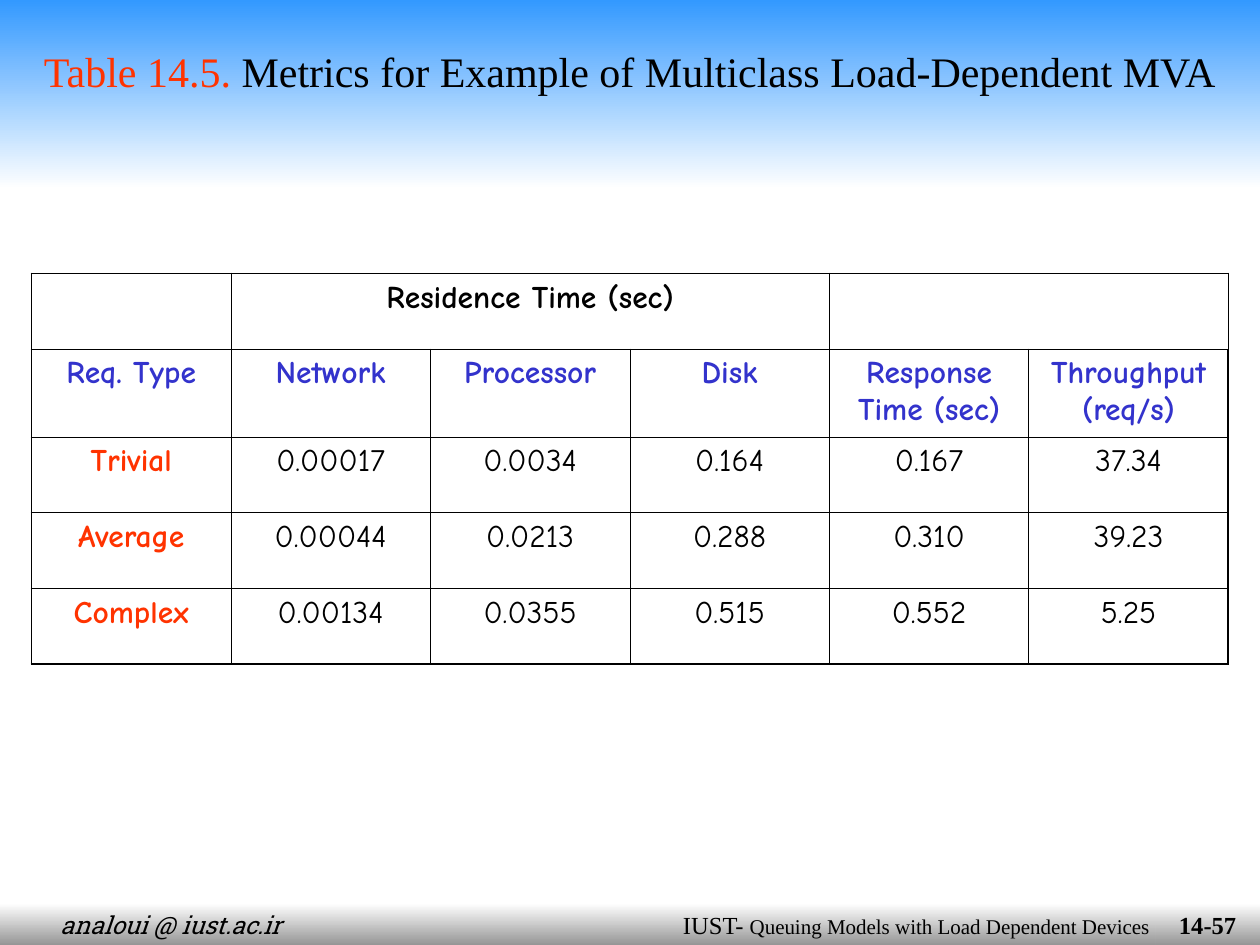
from dataclasses import dataclass

from lxml.etree import SubElement
from pptx import Presentation
from pptx.dml.color import RGBColor
from pptx.enum.shapes import MSO_SHAPE as Shape
from pptx.enum.text import MSO_ANCHOR as Anchor, PP_ALIGN as Align
from pptx.oxml.ns import qn
from pptx.util import Inches, Pt

SERIF, SLAB, COMIC = "Times New Roman", "Roboto Slab", "Comic Neue"
BLACK, RED, BLUE, WHITE = "000000", "FF3300", "3333CC", "FFFFFF"
SKY, GREY = "3399FF", "969696"


@dataclass
class Span:
    text: str
    size: float
    font: str = SERIF
    color: str = BLACK
    bold: bool = False
    italic: bool = False


@dataclass
class Band:
    left: float
    top: float
    width: float
    height: float
    start: str
    end: str
    spans: list[Span]
    align: Align = Align.CENTER
    anchor: Anchor = Anchor.TOP
    left_inset: float = 0.1
    bottom_inset: float = 0.05
    right_tab: float = 0


def rgb(value: str) -> RGBColor:
    return RGBColor.from_string(value)


def add_span(para, span: Span) -> None:
    run = para.add_run()
    run.text = span.text
    font = run.font
    font.name, font.size = span.font, Pt(span.size)
    font.bold, font.italic = span.bold, span.italic
    font.color.rgb = rgb(span.color)


def add_band(page, band: Band) -> None:
    box = page.shapes.add_shape(
        Shape.RECTANGLE, Inches(band.left), Inches(band.top),
        Inches(band.width), Inches(band.height))
    box.shadow.inherit = False
    box.line.fill.background()

    # Vertical gradient, start colour at the top
    box.fill.gradient()
    box.fill.gradient_angle = 270
    for stop, color, position in zip(
            box.fill.gradient_stops, (band.start, band.end), (0, 1)):
        stop.color.rgb = rgb(color)
        stop.position = position

    frame = box.text_frame
    frame.word_wrap = True
    frame.vertical_anchor = band.anchor
    frame.margin_left = Inches(band.left_inset)
    frame.margin_bottom = Inches(band.bottom_inset)
    para = frame.paragraphs[0]
    para.alignment = band.align
    if band.right_tab:
        tabs = SubElement(para._p.get_or_add_pPr(), qn("a:tabLst"))
        SubElement(tabs, qn("a:tab"), pos=str(Inches(band.right_tab)), algn="r")
    for span in band.spans:
        add_span(para, span)


def set_borders(cell, widths: dict[str, float]) -> None:
    properties = cell._tc.get_or_add_tcPr()
    for side, width in widths.items():
        line = SubElement(properties, qn(f"a:ln{side}"), w=str(Pt(width)))
        fill = SubElement(line, qn("a:solidFill"))
        SubElement(fill, qn("a:srgbClr"), val=BLACK)


def cell_style(row: int, column: int) -> tuple[str, bool]:
    """Colour and weight of the text in a cell."""
    if row == 0:
        return BLACK, True
    if row == 1:
        return BLUE, True
    return (RED, True) if column == 0 else (BLACK, False)


def add_metrics_table(page, rows: list[list[str]], heights: list[float]) -> None:
    left, top, width = 0.25, 2.17, 9.5
    thin, thick = 0.45, 1.08
    last_row, last_column = len(rows) - 1, len(rows[0]) - 1
    table = page.shapes.add_table(
        len(rows), len(rows[0]), Inches(left), Inches(top),
        Inches(width), Inches(sum(heights))).table
    table.first_row = table.horz_banding = False
    for column in table.columns:
        column.width = Inches(width / len(rows[0]))

    for r, (texts, height) in enumerate(zip(rows, heights)):
        table.rows[r].height = Inches(height)
        for c, text in enumerate(texts):
            cell = table.cell(r, c)
            set_borders(cell, {
                "L": thick if c == 0 else thin,
                "R": thick if c == last_column else thin,
                "T": thick if r == 0 else thin,
                "B": thick if r == last_row else thin,
            })
            cell.fill.background()
            if text:
                para = cell.text_frame.paragraphs[0]
                para.alignment = Align.CENTER
                para.space_before = Pt(4.5)
                color, bold = cell_style(r, c)
                add_span(para, Span(text, 18, COMIC, color, bold))

    # Group headings over the residence times and the totals
    table.cell(0, 1).merge(table.cell(0, 3))
    table.cell(0, 4).merge(table.cell(0, 5))


BANDS = [
    # Footer
    Band(0, 7.17, 9.63, 0.33, WHITE, GREY, [
        Span("analoui @ iust.ac.ir", 14, SLAB, italic=True),
        Span("\tIUST- ", 14),
        Span("Queuing Models with Load Dependent Devices", 12),
    ], align=Align.LEFT, left_inset=0.48, right_tab=8.65),
    # Page number
    Band(9.17, 7.17, 0.83, 0.33, WHITE, GREY, [Span("14-57", 14, bold=True)]),
    # Title, raised above the middle of its band
    Band(0, 0, 10, 1.5, SKY, WHITE, [
        Span("Table 14.5.", 24, color=RED),
        Span(" Metrics for Example of Multiclass Load-Dependent MVA", 24),
    ], anchor=Anchor.MIDDLE, bottom_inset=0.43),
]

METRICS = [
    ["", "Residence Time (sec)", "", "", "", ""],
    ["Req. Type", "Network", "Processor", "Disk",
     "Response Time (sec)", "Throughput (req/s)"],
    ["Trivial", "0.00017", "0.0034", "0.164", "0.167", "37.34"],
    ["Average", "0.00044", "0.0213", "0.288", "0.310", "39.23"],
    ["Complex", "0.00134", "0.0355", "0.515", "0.552", "5.25"],
]


def main() -> None:
    deck = Presentation()
    deck.slide_width, deck.slide_height = Inches(10), Inches(7.5)
    page = deck.slides.add_slide(deck.slide_layouts[6])
    for band in BANDS:
        add_band(page, band)
    add_metrics_table(page, METRICS, [0.6, 0.7, 0.6, 0.6, 0.6])
    deck.save("out.pptx")


if __name__ == "__main__":
    main()
